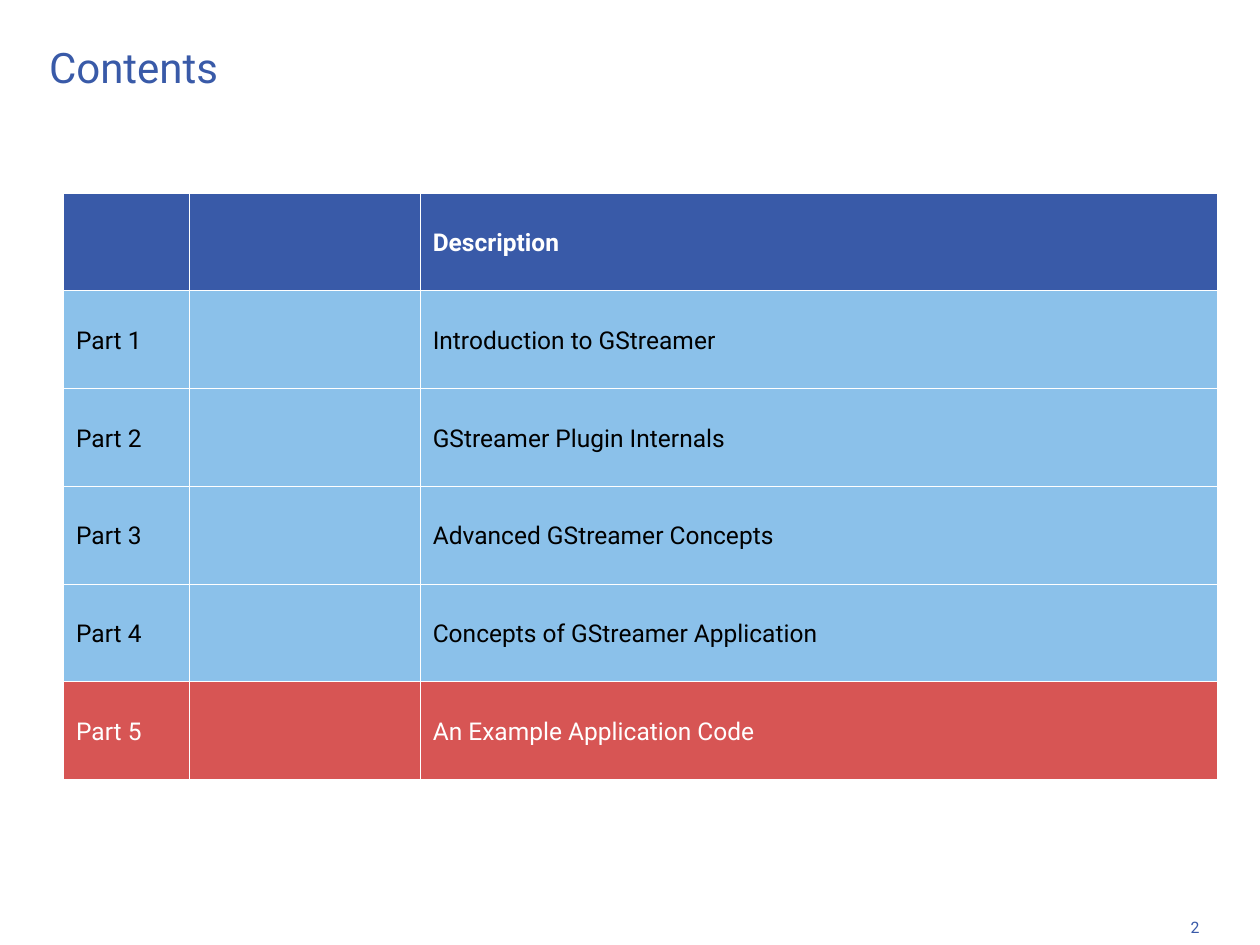
from lxml import etree
from pptx import Presentation
from pptx import util as u
from pptx.dml.color import RGBColor
from pptx.enum import text
from pptx.oxml.ns import qn

BLUE, SKY, RED = "395AA8", "8BC1EA", "D75554"
WHITE, BLACK = "FFFFFF", "000000"


def color(value):
    return RGBColor.from_string(value)


class Deck:
    font = "Roboto"
    border_width = u.Pt(0.45)

    def __init__(self, prs):
        self.s = prs.slides.add_slide(prs.slide_layouts[6])

    def set_text(self, tf, content, size, ink, bold=False):
        tf.text = content
        p = tf.paragraphs[0]
        for r in p.runs:
            r.font.name = self.font
            r.font.size = u.Pt(size)
            r.font.bold = bold
            r.font.color.rgb = color(ink)
        return p

    def label(self, content, left, top, width, height, size, wrap=True):
        sp = self.s.shapes.add_textbox(*map(u.Cm, (left, top, width, height)))
        tf = sp.text_frame
        tf.word_wrap = wrap
        tf.margin_left = tf.margin_right = tf.margin_top = tf.margin_bottom = 0
        tf.vertical_anchor = text.MSO_ANCHOR.MIDDLE
        self.set_text(tf, content, size, BLUE)

    def border(self, cell):
        """Draw a thin white line on all four sides of a cell."""
        tc_pr = cell._tc.get_or_add_tcPr()
        for i, side in enumerate(("a:lnL", "a:lnR", "a:lnT", "a:lnB")):
            ln = etree.Element(qn(side), w=str(self.border_width))
            fill = etree.SubElement(ln, qn("a:solidFill"))
            etree.SubElement(fill, qn("a:srgbClr"), val=WHITE)
            tc_pr.insert(i, ln)

    def table(self, rows, left, top, widths, row_height):
        """Add a table; each row is (cell texts, fill, ink, bold)."""
        frame = self.s.shapes.add_table(
            len(rows), len(widths), u.Cm(left), u.Cm(top),
            u.Cm(sum(widths)), u.Cm(row_height * len(rows)))
        table = frame.table
        for column, width in zip(table.columns, widths):
            column.width = u.Cm(width)
        for row, (contents, fill, ink, bold) in zip(table.rows, rows):
            row.height = u.Cm(row_height)
            for cell, content in zip(row.cells, contents):
                cell.fill.solid()
                cell.fill.fore_color.rgb = color(fill)
                cell.vertical_anchor = text.MSO_ANCHOR.MIDDLE
                self.border(cell)
                if content:
                    p = self.set_text(cell.text_frame, content, 14, ink, bold)
                    p.line_spacing = 1.1


def main():
    prs = Presentation()
    prs.slide_width, prs.slide_height = u.Cm(25.4), u.Cm(19.05)
    deck = Deck(prs)

    deck.label("2", 24, 18.47, 1.55, 0.43, size=9, wrap=False)
    deck.label("Contents", 0.99, 0.71, 23.34, 1.27, size=24)

    parts = ["Introduction to GStreamer", "GStreamer Plugin Internals",
             "Advanced GStreamer Concepts", "Concepts of GStreamer Application",
             "An Example Application Code"]
    current_part = 5
    rows = [(("", "", "Description"), BLUE, WHITE, True)]
    for number, description in enumerate(parts, 1):
        fill, ink = (RED, WHITE) if number == current_part else (SKY, BLACK)
        rows.append(((f"Part {number}", "", description), fill, ink, False))
    deck.table(rows, 1.28, 3.89, (2.54, 4.65, 16.08), 1.97)

    prs.save("out.pptx")


if __name__ == "__main__":
    main()
